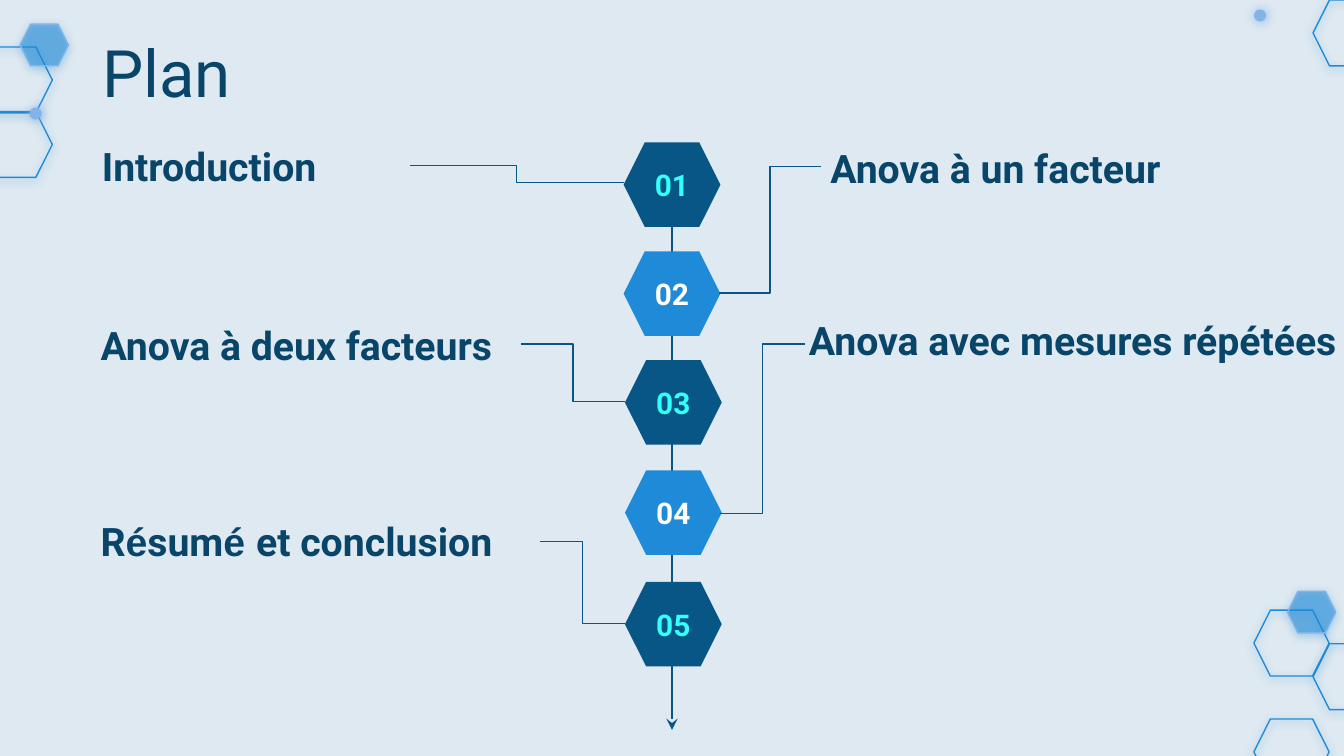
import pptx
import pptx.dml.color
import pptx.enum.shapes
import pptx.enum.text
import pptx.oxml
import pptx.oxml.ns
import pptx.util
from pptx.util import Inches

COLORS = {
    "background": "DEE9F1",
    "title": "084569",
    "dark": "085685",
    "blue": "1F8AD7",
    "light": "84B3E8",
    "cyan": "35FFFB",
    "white": "FFFFFF",
}
SHAPES = pptx.enum.shapes.MSO_SHAPE
CONNECTORS = pptx.enum.shapes.MSO_CONNECTOR
ALIGN = pptx.enum.text.PP_ALIGN
ANCHOR = pptx.enum.text.MSO_ANCHOR
DRAWING_NAMESPACE = pptx.oxml.ns.nsdecls("a")

LARGE_HEXAGONS = [(-0.17, 0.35), (-0.17, 0.83), (9.77, 0), (9.77, 4.79), (9.33, 4.54), (9.33, 5.35)]
SMALL_HEXAGONS = [(0.15, 0.18), (9.58, 4.4)]
DOTS = [(0.22, 0.8), (9.33, 0.07)]
STEPS = [(4.64, 1.06), (4.64, 1.87), (4.65, 2.68), (4.65, 3.5), (4.65, 4.33)]
LABELS = [
    ((0.66, 0.96, 3.37, 0.55), [("Introduction", "Roboto")]),
    ((0.65, 2.29, 3.37, 0.55), [("Anova à deux facteurs", "Roboto")]),
    ((0.65, 3.75, 3.37, 0.55), [("R", "Roboto"), ("é", "Arial"), ("sum", "Roboto"),
                                ("é ", "Arial"), ("et conclusion", "Roboto")]),
    ((6.08, 0.97, 3.37, 0.55), [("Anova à un facteur", "Roboto")]),
    ((5.92, 2.32, 4.21, 0.48), [("Anova avec mesures répétées", "Roboto")]),
]
LINKS = [
    (3.05, 1.23, 4.64, 1.36),
    (6.11, 1.24, 5.35, 2.18),
    (3.88, 2.56, 4.65, 2.99),
    (5.99, 2.56, 5.36, 3.82),
    (4.02, 4.03, 4.65, 4.64),
]


def rgb(name):
    return pptx.dml.color.RGBColor.from_string(COLORS[name])


def set_frame(frame, anchor):
    frame.word_wrap = True
    frame.auto_size = pptx.enum.text.MSO_AUTO_SIZE.NONE
    frame.vertical_anchor = anchor
    frame.margin_left = frame.margin_right = Inches(0.1)
    frame.margin_top = frame.margin_bottom = Inches(0.1)


def add_run(paragraph, text, size, color, bold=True, font="Roboto"):
    run = paragraph.add_run()
    run.text = text
    run.font.name = font
    run.font.size = pptx.util.Pt(size)
    run.font.bold = bold
    run.font.color.rgb = rgb(color)


def add_figure(slide, kind, box, fill=None, line=None):
    shape = slide.shapes.add_shape(kind, *map(Inches, box))
    shape.shadow.inherit = False
    if fill:
        shape.fill.solid()
        shape.fill.fore_color.rgb = rgb(fill)
    else:
        shape.fill.background()
    if line:
        shape.line.color.rgb = rgb(line)
        shape.line.width = pptx.util.Pt(0.75)
    else:
        shape.line.fill.background()
    return shape


def add_glow(shape, color, opacity, blur, distance, angle):
    effects = shape._element.spPr.find(pptx.oxml.ns.qn("a:effectLst"))
    effects.append(pptx.oxml.parse_xml(
        f'<a:outerShdw {DRAWING_NAMESPACE} blurRad="{pptx.util.Pt(blur)}" '
        f'dist="{pptx.util.Pt(distance)}" dir="{angle * 60000}" algn="bl" rotWithShape="0">'
        f'<a:srgbClr val="{COLORS[color]}"><a:alpha val="{opacity * 1000}"/></a:srgbClr>'
        '</a:outerShdw>'))


def set_opacity(shape, opacity):
    color = shape._element.spPr.find(pptx.oxml.ns.qn("a:solidFill"))[0]
    color.append(pptx.oxml.parse_xml(f'<a:alpha {DRAWING_NAMESPACE} val="{opacity * 1000}"/>'))


def add_decoration(slide):
    hexagons = [add_figure(slide, SHAPES.HEXAGON, (left, top, 0.56, 0.49), line="blue")
                for left, top in LARGE_HEXAGONS]
    for left, top in SMALL_HEXAGONS:
        hexagon = add_figure(slide, SHAPES.HEXAGON, (left, top, 0.36, 0.31), "blue", "light")
        set_opacity(hexagon, 53)
        hexagons.append(hexagon)
    for hexagon in hexagons:
        add_glow(hexagon, "blue", 50, 4.5, 1.5, 90)
    for left, top in DOTS:
        dot = add_figure(slide, SHAPES.OVAL, (left, top, 0.09, 0.09), "light")
        add_glow(dot, "light", 100, 5.6, 0.8, 11)


def add_line(slide, kind, points, arrow=False):
    connector = slide.shapes.add_connector(kind, *map(Inches, points))
    connector.line.color.rgb = rgb("dark")
    connector.line.width = pptx.util.Pt(0.75)
    if arrow:
        connector.line._get_or_add_ln().append(
            pptx.oxml.parse_xml(f'<a:tailEnd {DRAWING_NAMESPACE} type="stealth"/>'))
    connector._element.spPr.append(pptx.oxml.parse_xml(f"<a:effectLst {DRAWING_NAMESPACE}/>"))


def set_title(slide, text):
    title = slide.shapes.title
    title.left, title.top, title.width, title.height = map(Inches, (0.66, 0.14, 8.43, 0.63))
    set_frame(title.text_frame, ANCHOR.TOP)
    paragraph = title.text_frame.paragraphs[0]
    paragraph.alignment = ALIGN.LEFT
    add_run(paragraph, text, 35, "title", bold=False)


def add_label(slide, box, runs):
    label = slide.shapes.add_textbox(*map(Inches, box))
    set_frame(label.text_frame, ANCHOR.BOTTOM)
    paragraph = label.text_frame.paragraphs[0]
    paragraph.line_spacing = 1.15
    for text, font in runs:
        add_run(paragraph, text, 21, "title", font=font)


def add_step(slide, number, left, top):
    fill, color = ("dark", "cyan") if number % 2 else ("blue", "white")
    hexagon = add_figure(slide, SHAPES.HEXAGON, (left, top, 0.72, 0.63), fill)
    set_frame(hexagon.text_frame, ANCHOR.MIDDLE)
    paragraph = hexagon.text_frame.paragraphs[0]
    paragraph.alignment = ALIGN.CENTER
    add_run(paragraph, f"{number:02}", 16, color)


def main():
    presentation = pptx.Presentation()
    presentation.slide_width = Inches(10)
    presentation.slide_height = Inches(10 * 9 / 16)
    slide = presentation.slides.add_slide(presentation.slide_layouts.get_by_name("Title Only"))
    slide.background.fill.solid()
    slide.background.fill.fore_color.rgb = rgb("background")
    add_decoration(slide)
    add_line(slide, CONNECTORS.STRAIGHT, (5, 1.47, 5, 5.43), arrow=True)
    set_title(slide, "Plan")
    for box, runs in LABELS:
        add_label(slide, box, runs)
    for number, (left, top) in enumerate(STEPS, 1):
        add_step(slide, number, left, top)
    for points in LINKS:
        add_line(slide, CONNECTORS.ELBOW, points)
    presentation.save("out.pptx")


if __name__ == "__main__":
    main()
